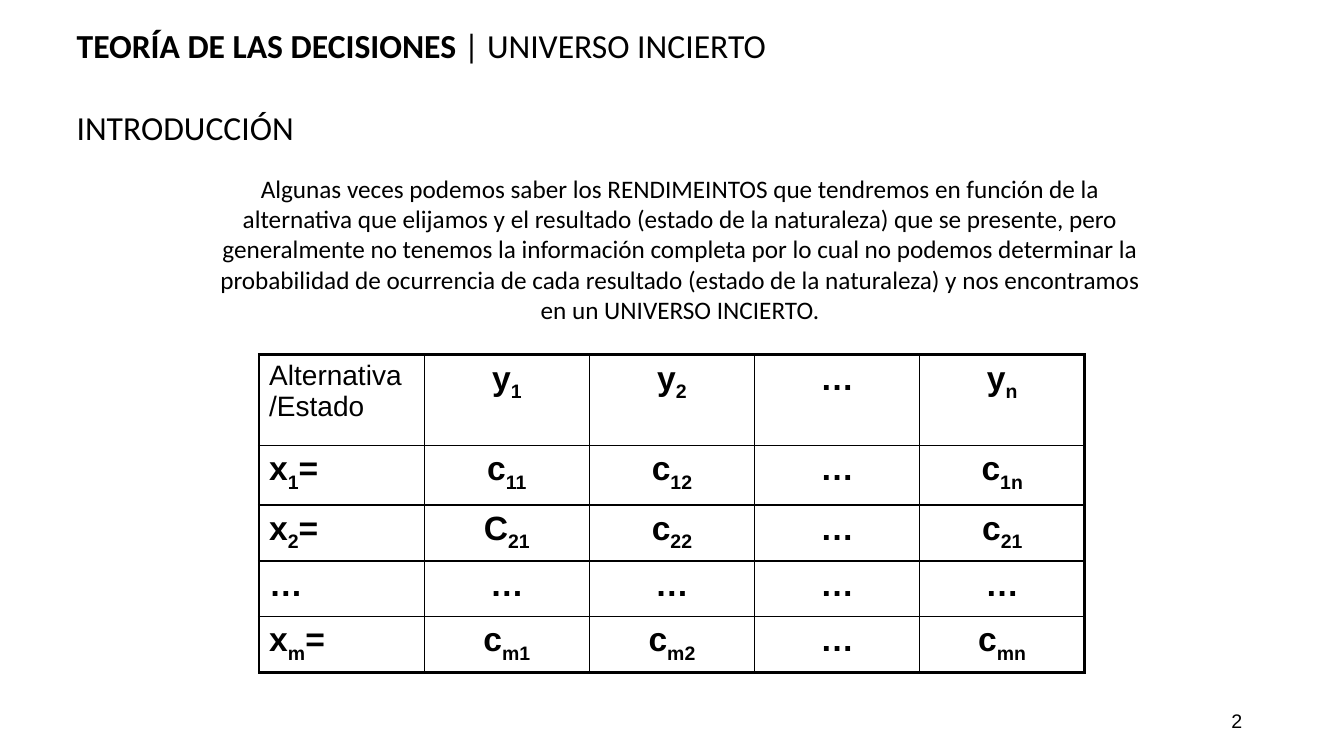
from lxml.etree import SubElement
from pptx import Presentation
from pptx.dml.color import RGBColor
from pptx.enum.text import MSO_ANCHOR, MSO_AUTO_SIZE, PP_ALIGN
from pptx.oxml import parse_xml
from pptx.oxml.ns import nsdecls, qn
from pptx.util import Inches, Pt

BLACK = RGBColor(0x00, 0x00, 0x00)
OUTER_LINE, INNER_LINE = Pt(2.25), Pt(1)

INTRODUCTION = (
    "Algunas veces podemos saber los RENDIMEINTOS que tendremos en función de la "
    "alternativa que elijamos y el resultado (estado de la naturaleza) que se presente, "
    "pero generalmente no tenemos la información completa por lo cual no podemos "
    "determinar la probabilidad de ocurrencia de cada resultado (estado de la naturaleza) "
    "y nos encontramos en un UNIVERSO INCIERTO."
)
PAYOFFS = [
    [["Alternativa /Estado"], ["y", "1"], ["y", "2"], ["…"], ["y", "n"]],
    [["x", "1", "="], ["c", "11"], ["c", "12"], ["…"], ["c", "1n"]],
    [["x", "2", "="], ["C", "21"], ["c", "22"], ["…"], ["c", "21"]],
    [["…"], ["…"], ["…"], ["…"], ["…"]],
    [["x", "m", "="], ["c", "m1"], ["c", "m2"], ["…"], ["c", "mn"]],
]
ROW_HEIGHTS = [0.9, 0.59, 0.55, 0.55, 0.56]


def place(shape, box):
    shape.left, shape.top, shape.width, shape.height = map(Inches, box)


def add_run(paragraph, text, font_name, size, bold=False):
    run = paragraph.add_run()
    run.text = text
    run.font.name = font_name
    run.font.size = Pt(size)
    run.font.bold = bold
    run.font.color.rgb = BLACK
    return run


def fill_title(title, box):
    place(title, box)
    frame = title.text_frame
    frame.auto_size = MSO_AUTO_SIZE.NONE
    frame.vertical_anchor = MSO_ANCHOR.BOTTOM
    paragraph = frame.paragraphs[0]
    paragraph.alignment = PP_ALIGN.LEFT
    paragraph.line_spacing = 0.9
    add_run(paragraph, "TEORÍA DE LAS DECISIONES ", "Calibri", 24, bold=True)
    add_run(paragraph, "| UNIVERSO INCIERTO", "Calibri", 24)


def fill_section(body, box):
    place(body, box)
    body.text_frame.auto_size = MSO_AUTO_SIZE.NONE
    paragraph = body.text_frame.paragraphs[0]
    paragraph.line_spacing = 1.2
    paragraph.space_before = Pt(0)
    properties = paragraph._p.get_or_add_pPr()
    properties.set("marL", "0")
    properties.set("indent", "0")
    SubElement(properties, qn("a:buNone"))
    add_run(paragraph, "INTRODUCCIÓN", "Calibri", 24)


def add_text(slide, box, text, font_name, size, alignment, anchor):
    shape = slide.shapes.add_textbox(*map(Inches, box))
    frame = shape.text_frame
    frame.word_wrap = True
    frame.vertical_anchor = anchor
    paragraph = frame.paragraphs[0]
    paragraph.alignment = alignment
    add_run(paragraph, text, font_name, size)


def add_borders(cell, outer_sides):
    properties = cell._tc.get_or_add_tcPr()
    for side in "LRTB":
        width = OUTER_LINE if side in outer_sides else INNER_LINE
        properties.append(parse_xml(
            f'<a:ln{side} {nsdecls("a")} w="{width}"><a:solidFill>'
            f'<a:srgbClr val="{BLACK}"/></a:solidFill></a:ln{side}>'))


def fill_cell(cell, parts, is_corner, is_label):
    paragraph = cell.text_frame.paragraphs[0]
    paragraph.alignment = PP_ALIGN.LEFT if is_label else PP_ALIGN.CENTER
    for index, part in enumerate(parts):
        run = add_run(paragraph, part, "Arial", 20 if is_corner else 24, bold=not is_corner)
        if index == 1:
            run._r.get_or_add_rPr().set("baseline", "-25000")


def add_payoff_table(slide, box):
    rows, columns = len(PAYOFFS), len(PAYOFFS[0])
    table = slide.shapes.add_table(rows, columns, *map(Inches, box)).table
    table.first_row = False
    table.horz_banding = False
    for column in table.columns:
        column.width = Inches(box[2] / columns)
    for row, height in zip(table.rows, ROW_HEIGHTS):
        row.height = Inches(height)
    for row_index, row in enumerate(PAYOFFS):
        for column_index, parts in enumerate(row):
            cell = table.cell(row_index, column_index)
            is_label = column_index == 0
            fill_cell(cell, parts, is_label and row_index == 0, is_label)
            edges = {"L": is_label, "R": column_index == columns - 1,
                     "T": row_index == 0, "B": row_index == rows - 1}
            add_borders(cell, [side for side, is_outer in edges.items() if is_outer])
            cell.fill.background()


def build_slide(presentation):
    slide = presentation.slides.add_slide(presentation.slide_layouts[1])
    fill_title(slide.shapes.title, (0.66, 0.28, 10.49, 0.42))
    fill_section(slide.placeholders[1], (0.66, 0.93, 5.69, 0.66))
    add_text(slide, (2.02, 1.67, 9.45, 1.62), INTRODUCTION, "Calibri", 18,
             PP_ALIGN.CENTER, MSO_ANCHOR.TOP)
    add_payoff_table(slide, (2.57, 3.52, 8.19, sum(ROW_HEIGHTS)))
    add_text(slide, (9.42, 6.95, 3, 0.4), "2", "Arial", 14,
             PP_ALIGN.RIGHT, MSO_ANCHOR.MIDDLE)


def main():
    presentation = Presentation()
    presentation.slide_width = Inches(13.33)
    presentation.slide_height = Inches(7.5)
    build_slide(presentation)
    presentation.save("out.pptx")


if __name__ == "__main__":
    main()
